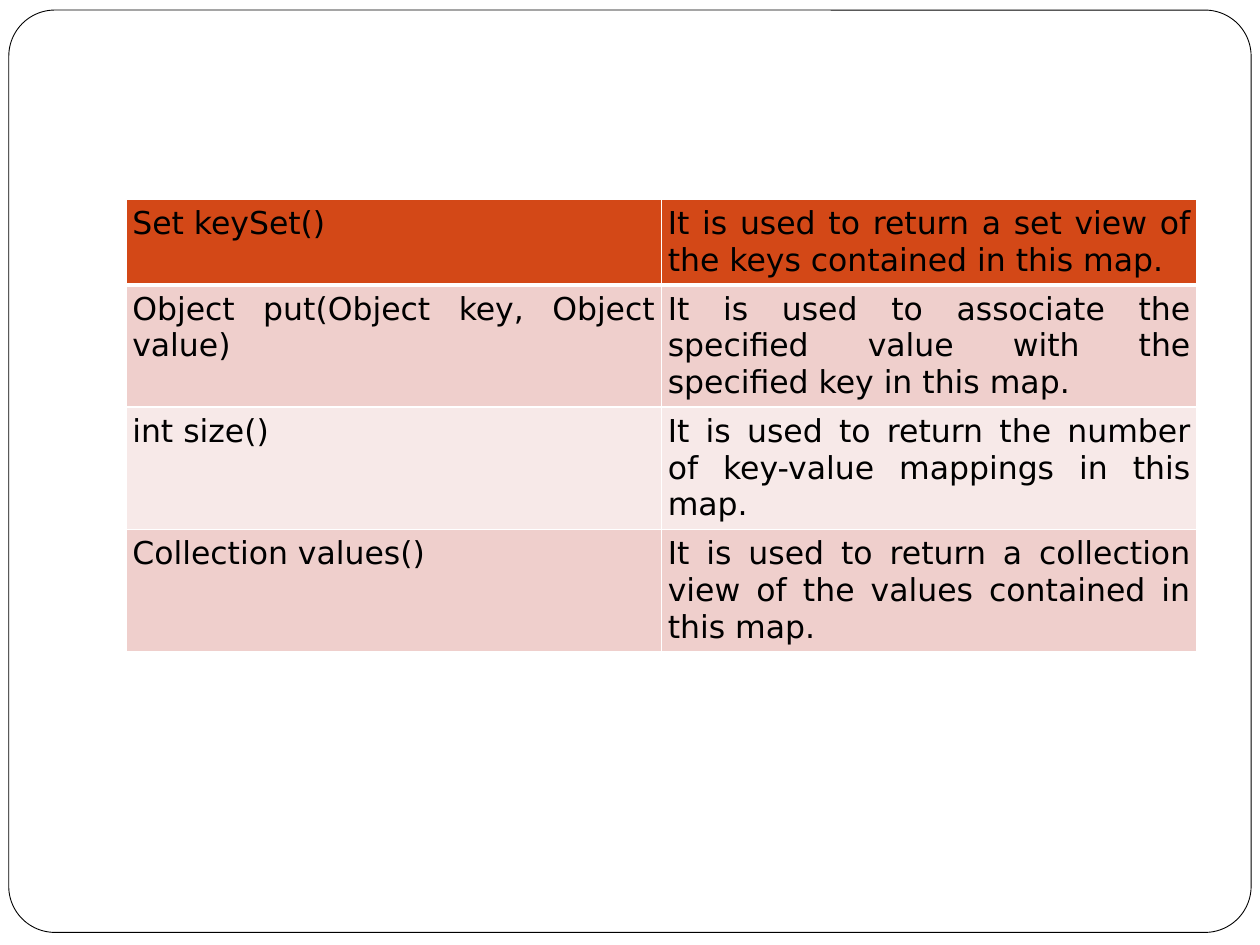
"""Build a slide with a table of map methods and their descriptions."""
from lxml import etree
from pptx import Presentation
from pptx.dml.color import RGBColor
from pptx.enum.shapes import MSO_SHAPE
from pptx.enum.text import PP_ALIGN
from pptx.oxml.ns import qn
from pptx.util import Inches, Pt

ROUNDED = MSO_SHAPE.ROUNDED_RECTANGLE
JUSTIFY = PP_ALIGN.JUSTIFY
COLORS = {
    "paper": "FFFFFF",
    "ink": "000000",
    "header": "D34817",
    "odd": "EFCFCC",
    "even": "F7E9E8",
}
METHODS = [
    ("Set keySet()",
     "It is used to return a set view of the keys contained in this map."),
    ("Object put(Object key, Object value)",
     "It is used to associate the specified value with the specified key in this map."),
    ("int size()",
     "It is used to return the number of key-value mappings in this map."),
    ("Collection values()",
     "It is used to return a collection view of the values contained in this map."),
]
ROW_FILLS = ["header", "odd", "even", "odd"]
ROW_HEIGHTS = [0.68, 0.97, 0.97, 0.97]


def write_text(frame, text, size=18, font="DejaVu Sans", color="ink", align=JUSTIFY):
    para = frame.paragraphs[0]
    para.alignment = align
    span = para.add_run()
    span.text = text
    span.font.size = Pt(size)
    span.font.name = font
    span.font.bold = False
    span.font.color.rgb = RGBColor.from_string(COLORS[color])


def add_border(cell, side, width):
    properties = cell._tc.get_or_add_tcPr()
    line = etree.SubElement(properties, qn(f"a:ln{side}"), w=str(Pt(width)))
    fill = etree.SubElement(line, qn("a:solidFill"))
    etree.SubElement(fill, qn("a:srgbClr"), val=COLORS["paper"])


deck = Presentation()
deck.slide_width, deck.slide_height = Inches(10), Inches(7.5)
page = deck.slides.add_slide(deck.slide_layouts[6])

frame = page.shapes.add_shape(
    ROUNDED, Inches(0.07), Inches(0.08), Inches(9.86), Inches(7.32))
frame.adjustments[0] = 0.05
frame.shadow.inherit = False
frame.fill.solid()
frame.fill.fore_color.rgb = RGBColor.from_string(COLORS["paper"])
frame.line.color.rgb = RGBColor.from_string(COLORS["ink"])
frame.line.width = Pt(0.5)

table = page.shapes.add_table(
    len(METHODS), 2, Inches(1), Inches(1.58), Inches(8.5),
    Inches(sum(ROW_HEIGHTS))).table
for row_index, method in enumerate(METHODS):
    table.rows[row_index].height = Inches(ROW_HEIGHTS[row_index])
    for column_index, text in enumerate(method):
        cell = table.cell(row_index, column_index)
        cell.margin_left = cell.margin_right = Inches(0.05)
        cell.margin_top = cell.margin_bottom = Inches(0.05)
        for side in "LRTB":
            header_edge = (row_index, side) in [(0, "B"), (1, "T")]
            add_border(cell, side, 3 if header_edge else 1)
        cell.fill.solid()
        cell.fill.fore_color.rgb = RGBColor.from_string(COLORS[ROW_FILLS[row_index]])
        write_text(cell.text_frame, text)

deck.save("out.pptx")
